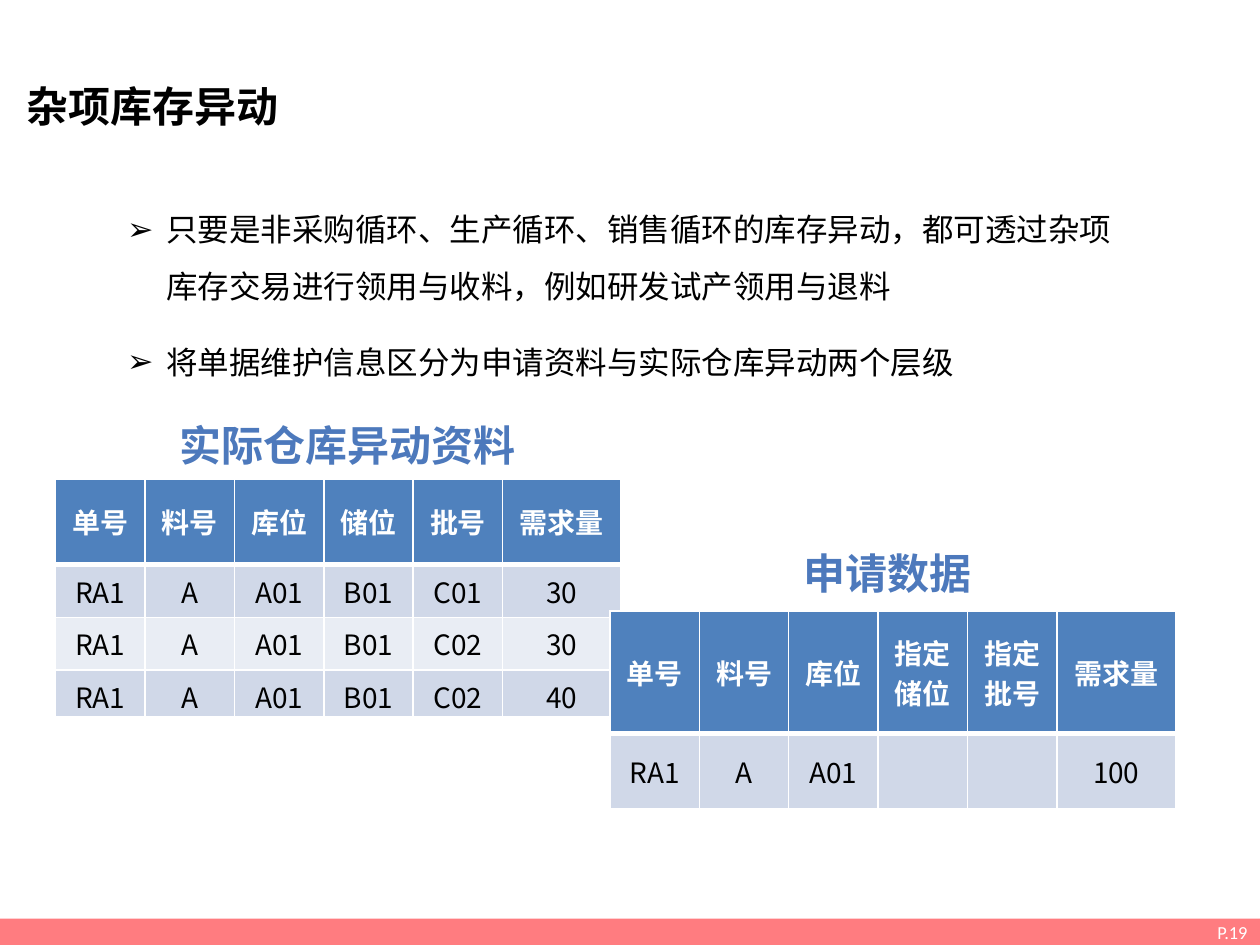
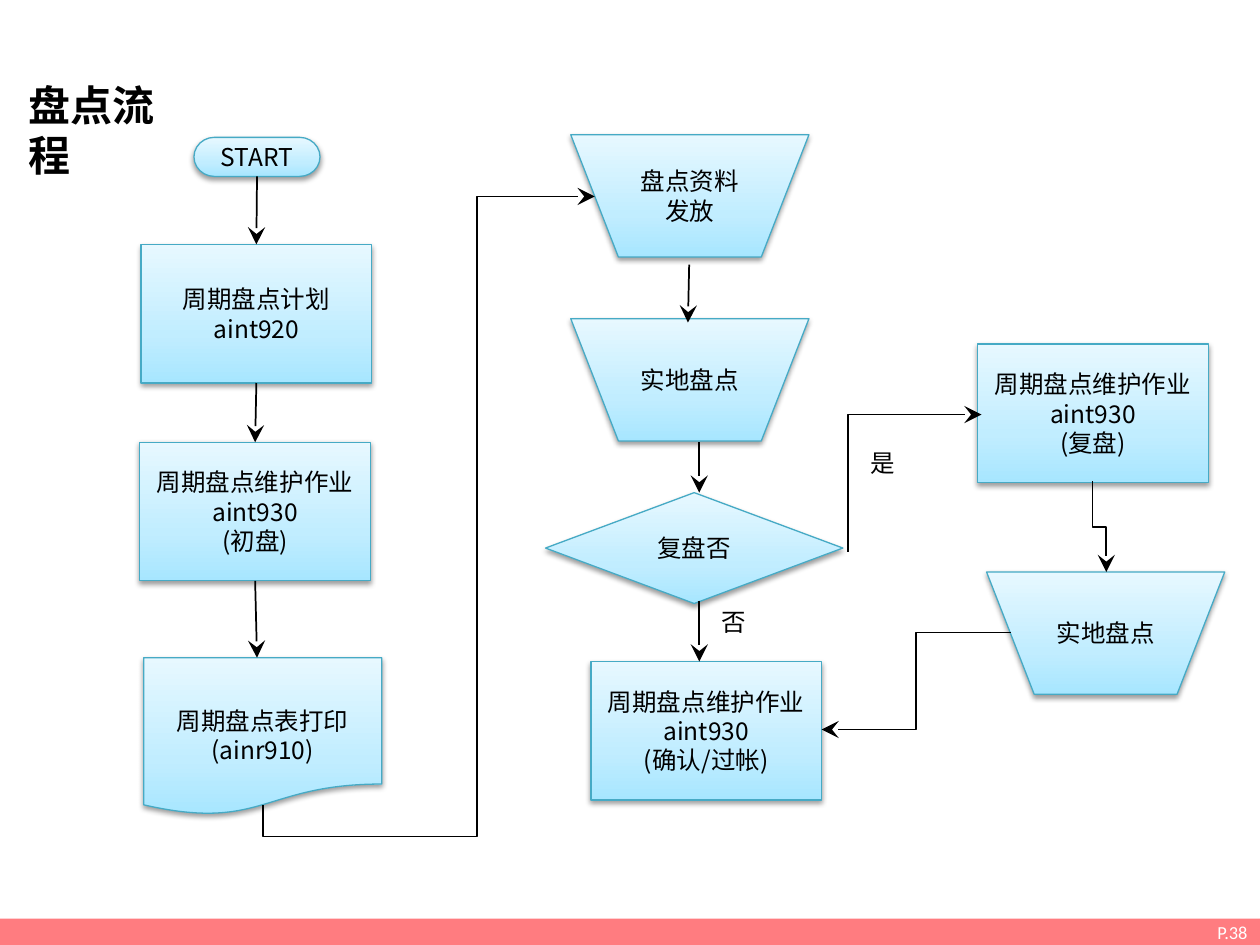
from dataclasses import dataclass
from typing import NamedTuple, Optional

from lxml.etree import SubElement
from pptx import Presentation
from pptx.dml.color import RGBColor
from pptx.enum.shapes import MSO_CONNECTOR, MSO_SHAPE
from pptx.enum.text import MSO_ANCHOR, MSO_AUTO_SIZE, PP_ALIGN
from pptx.oxml.ns import qn
from pptx.util import Inches, Pt


@dataclass(frozen=True)
class Theme:
    font: str = "Noto Sans CJK SC"
    footer_font: str = "Calibri"
    ink: str = "000000"
    paper: str = "FFFFFF"
    band: str = "FF7C80"
    header: str = "4F81BD"
    stripes: tuple = ("D0D8E8", "E9EDF4")
    step_line: str = "46AAC5"
    step_fill: tuple = ((0, "A7E6FF"), (35, "C1EDFF"), (100, "E7F8FF"))
    caption_fill: tuple = ((0, "000000"), (49, "4D79BC"), (50, "346AAA"),
                           (92, "325F94"), (100, "315D91"))
    title_size: float = 24
    body_size: float = 18
    table_size: float = 16
    step_size: float = 14
    footer_size: float = 10.5


THEME = Theme()
WIDTH, HEIGHT = Inches(10), Inches(7.5)
COLUMN, ROW = WIDTH / 100, HEIGHT / 75


class Box(NamedTuple):
    left: float
    top: float
    width: float
    height: float

    def emu(self) -> tuple:
        return (round(self.left * COLUMN), round(self.top * ROW),
                round(self.width * COLUMN), round(self.height * ROW))


class Step(NamedTuple):
    label: str
    kind: MSO_SHAPE
    box: Box
    top_inset: float = 0.05


class Arrow(NamedTuple):
    start: tuple
    end: tuple
    source: Optional[str] = None
    target: Optional[str] = None


class Elbow(NamedTuple):
    start: tuple
    end: tuple
    turn: int
    flips: str
    geometry: str
    bends: tuple = ()


class Ledger(NamedTuple):
    caption: str
    caption_box: Box
    left: float
    top: float
    rows: tuple
    heights: tuple


LEDGER_COLUMNS = (7.1,) * 5 + (9.4,)
LEDGERS = (
    Ledger("申请数据", Box(62.8, 43, 15.3, 5.3), 48.4, 48.5,
           (("单号", "料号", "库位", "指定储位", "指定批号", "需求量"),
            ("RA1", "A", "A01", "", "", "100")), (9.7, 6)),
    Ledger("实际仓库异动资料", Box(13.2, 32.8, 28.7, 5.3), 4.4, 38,
           (("单号", "料号", "库位", "储位", "批号", "需求量"),
            ("RA1", "A", "A01", "B01", "C01", "30"),
            ("RA1", "A", "A01", "B01", "C02", "30"),
            ("RA1", "A", "A01", "B01", "C02", "40")), (6.8, 4.2, 4.2, 3.7)),
)
POINTS = (
    ("只要是非采购循环、生产循环、销售循环的库存异动，都可透过杂项库存交易进行领用与收料，例如研发试产领用与退料", 1.5),
    ("将单据维护信息区分为申请资料与实际仓库异动两个层级", 2.0),
)

TASK, MANUAL = (18.3, 11), (18.9, 9.7)
STEPS = {
    "start": Step("START", MSO_SHAPE.FLOWCHART_TERMINATOR, Box(15.4, 10.9, 10, 3.1)),
    "plan": Step("周期盘点计划\naint920", MSO_SHAPE.RECTANGLE, Box(11.2, 19.4, *TASK)),
    "first count": Step("周期盘点维护作业\naint930\n(初盘)", MSO_SHAPE.RECTANGLE,
                        Box(11.1, 35.1, *TASK)),
    "print": Step("周期盘点表打印\n(ainr910)", MSO_SHAPE.FLOWCHART_DOCUMENT,
                  Box(11.4, 52.2, 18.9, 12.5), 0.28),
    "issue": Step("盘点资料发放", MSO_SHAPE.FLOWCHART_MANUAL_OPERATION,
                  Box(45.3, 10.7, *MANUAL)),
    "site count": Step("实地盘点", MSO_SHAPE.FLOWCHART_MANUAL_OPERATION,
                       Box(45.3, 25.3, *MANUAL)),
    "recount": Step("周期盘点维护作业\naint930\n(复盘)", MSO_SHAPE.RECTANGLE,
                    Box(77.6, 27.3, *TASK)),
    "decision": Step("复盘否", MSO_SHAPE.FLOWCHART_DECISION, Box(43.3, 39.1, 23.6, 8.8)),
    "confirm": Step("周期盘点维护作业\naint930\n(确认/过帐)", MSO_SHAPE.RECTANGLE,
                    Box(46.9, 52.5, *TASK)),
    "site recount": Step("实地盘点", MSO_SHAPE.FLOWCHART_MANUAL_OPERATION,
                         Box(78.3, 45.4, *MANUAL)),
}
ARROWS = (
    Arrow((20.2, 14), (20.2, 19.4), "start", "plan"),
    Arrow((20.2, 30.3), (20.4, 35.1), "plan", "first count"),
    Arrow((20.2, 46.1), (20.4, 52.2), "first count"),
    Arrow((54.7, 21), (54.6, 25.6)),
    Arrow((55.5, 35.1), (55.5, 39.1)),
    Arrow((55.5, 47.7), (55.5, 52.5)),
)
ELBOWS = (
    Elbow((20.9, 63.9), (47.2, 15.6), 90, "HV", "bentConnector4", (-0.052, 0.644)),
    Elbow((80.2, 50.2), (65.2, 57.9), 180, "V", "bentConnector3", (0.5,)),
    Elbow((86.7, 38.2), (87.8, 45.4), 270, "H", "bentConnector3", (0.5,)),
    Elbow((67.3, 43.8), (77.9, 32.9), 90, "HV", "bentConnector2"),
)
BRANCHES = (("否", Box(56.3, 47.7, 3.9, 3.5)), ("是", Box(68.1, 35.1, 3.9, 3.5)))


def gradient(parent, index: int, stops: tuple, angle: int) -> None:
    fill = SubElement(parent, qn("a:gradFill"), rotWithShape="1")
    parent.insert(index, fill)
    stop_list = SubElement(fill, qn("a:gsLst"))
    for share, color in stops:
        stop = SubElement(stop_list, qn("a:gs"), pos=str(share * 1000))
        SubElement(stop, qn("a:srgbClr"), val=color)
    SubElement(fill, qn("a:lin"), ang=str(angle * 60000), scaled="0")


def write(frame, text: str, *, size: float, color: str = THEME.ink, bold: bool = False,
          font: str = THEME.font, align=PP_ALIGN.LEFT, anchor=MSO_ANCHOR.TOP,
          wrap: bool = True, fit=MSO_AUTO_SIZE.NONE, stops: tuple = ()) -> None:
    frame.word_wrap = wrap
    frame.auto_size = fit
    frame.vertical_anchor = anchor
    frame.text = text
    for paragraph in frame.paragraphs:
        paragraph.alignment = align
        for run in paragraph.runs:
            run.font.size, run.font.bold, run.font.name = Pt(size), bold, font
            properties = run.font._element
            SubElement(properties, qn("a:ea"), typeface=font)
            if stops:
                gradient(properties, 0, stops, 90)
            else:
                run.font.color.rgb = RGBColor.from_string(color)


def add_label(slide, text: str, box: Box, **style) -> None:
    label = slide.shapes.add_textbox(*box.emu())
    write(label.text_frame, text, wrap=False, fit=MSO_AUTO_SIZE.SHAPE_TO_FIT_TEXT, **style)


def place(placeholder, box: Box) -> None:
    placeholder.left, placeholder.top, placeholder.width, placeholder.height = box.emu()


def add_page(deck, layout: int, title: str, title_box: Box, number: int):
    slide = deck.slides.add_slide(deck.slide_layouts[layout])
    band = slide.shapes.add_shape(MSO_SHAPE.RECTANGLE, *Box(0, 72.9, 100, 2.1).emu())
    band.shadow.inherit = False
    band.fill.solid()
    band.fill.fore_color.rgb = RGBColor.from_string(THEME.band)
    band.line.fill.background()
    write(band.text_frame, f"P.{number}", size=THEME.footer_size, color=THEME.paper,
          font=THEME.footer_font, align=PP_ALIGN.RIGHT, anchor=MSO_ANCHOR.MIDDLE)
    place(slide.shapes.title, title_box)
    write(slide.shapes.title.text_frame, title, size=THEME.title_size, bold=True)
    return slide


def add_points(slide) -> None:
    body = slide.placeholders[1]
    place(body, Box(9.1, 14.7, 81.2, 16))
    write(body.text_frame, "\n".join(text for text, _ in POINTS), size=THEME.body_size)
    for paragraph, (_, spacing) in zip(body.text_frame.paragraphs, POINTS):
        paragraph.line_spacing = spacing
        paragraph.space_before = Pt(0)
        properties = paragraph._p.get_or_add_pPr()
        properties.set("marL", str(Inches(0.31)))
        properties.set("indent", str(-Inches(0.31)))
        SubElement(properties, qn("a:buChar"), char="➢")


def set_borders(cell, bottom: float) -> None:
    properties = cell._tc.get_or_add_tcPr()
    for index, (side, weight) in enumerate(zip("LRTB", (1, 1, 1, bottom))):
        border = SubElement(properties, qn(f"a:ln{side}"), w=str(Pt(weight)))
        properties.insert(index, border)
        fill = SubElement(border, qn("a:solidFill"))
        SubElement(fill, qn("a:srgbClr"), val=THEME.paper)


def add_ledger(slide, ledger: Ledger) -> None:
    add_label(slide, ledger.caption, ledger.caption_box, size=THEME.title_size, bold=True,
              align=PP_ALIGN.CENTER, stops=THEME.caption_fill)
    box = Box(ledger.left, ledger.top, sum(LEDGER_COLUMNS), sum(ledger.heights))
    table = slide.shapes.add_table(len(ledger.rows), len(LEDGER_COLUMNS), *box.emu()).table
    for column, width in zip(table.columns, LEDGER_COLUMNS):
        column.width = round(width * COLUMN)
    for r, (values, height) in enumerate(zip(ledger.rows, ledger.heights)):
        table.rows[r].height = round(height * ROW)
        heading = r == 0
        for c, value in enumerate(values):
            cell = table.cell(r, c)
            cell.fill.solid()
            cell.fill.fore_color.rgb = RGBColor.from_string(
                THEME.header if heading else THEME.stripes[(r - 1) % 2])
            set_borders(cell, 3 if heading else 1)
            write(cell.text_frame, value, size=THEME.table_size, bold=heading,
                  color=THEME.paper if heading else THEME.ink, align=PP_ALIGN.CENTER)
            cell.vertical_anchor = MSO_ANCHOR.MIDDLE


def add_step(slide, step: Step):
    shape = slide.shapes.add_shape(step.kind, *step.box.emu())
    gradient(shape._element.spPr, 2, THEME.step_fill, 270)
    shape.line.color.rgb = RGBColor.from_string(THEME.step_line)
    shape.line.width = Pt(0.75)
    shape.shadow.inherit = False
    effects = shape._element.spPr.find(qn("a:effectLst"))
    shadow = SubElement(effects, qn("a:outerShdw"), blurRad=str(Pt(3.1)), dist=str(Pt(1.6)),
                        dir="5400000", rotWithShape="0")
    shade = SubElement(shadow, qn("a:srgbClr"), val=THEME.ink)
    SubElement(shade, qn("a:alpha"), val="38000")
    write(shape.text_frame, step.label, size=THEME.step_size, align=PP_ALIGN.CENTER,
          anchor=MSO_ANCHOR.MIDDLE)
    shape.text_frame.margin_top = Inches(step.top_inset)
    return shape


def add_line(slide, kind, box: Box):
    left, top, width, height = box.emu()
    line = slide.shapes.add_connector(kind, left, top, left + width, top + height)
    line.line.color.rgb = RGBColor.from_string(THEME.ink)
    line.line.width = Pt(1)
    SubElement(line.line._get_or_add_ln(), qn("a:tailEnd"), type="stealth", w="lg", len="lg")
    SubElement(line._element.spPr, qn("a:effectLst"))
    return line


def add_arrow(slide, arrow: Arrow, shapes: dict) -> None:
    (x1, y1), (x2, y2) = arrow.start, arrow.end
    line = add_line(slide, MSO_CONNECTOR.STRAIGHT, Box(x1, y1, x2 - x1, y2 - y1))
    if arrow.source:
        line.begin_connect(shapes[arrow.source], 2)
    if arrow.target:
        line.end_connect(shapes[arrow.target], 0)


def add_elbow(slide, elbow: Elbow) -> None:
    (x1, y1), (x2, y2) = elbow.start, elbow.end
    width, height = abs(x2 - x1), abs(y2 - y1)
    if elbow.turn % 180:
        width, height = height, width
    box = Box((x1 + x2 - width) / 2, (y1 + y2 - height) / 2, width, height)
    properties = add_line(slide, MSO_CONNECTOR.ELBOW, box)._element.spPr
    frame = properties.find(qn("a:xfrm"))
    frame.set("rot", str(elbow.turn * 60000))
    for axis in elbow.flips:
        frame.set(f"flip{axis}", "1")
    outline = properties.find(qn("a:prstGeom"))
    outline.set("prst", elbow.geometry)
    for index, bend in enumerate(elbow.bends, 1):
        SubElement(outline.find(qn("a:avLst")), qn("a:gd"), name=f"adj{index}",
                   fmla=f"val {round(bend * 100000)}")


def main() -> None:
    deck = Presentation()
    deck.slide_width, deck.slide_height = WIDTH, HEIGHT

    movements = add_page(deck, 1, "杂项库存异动", Box(1.1, 5.9, 41.7, 5.3), 19)
    add_points(movements)
    for ledger in reversed(LEDGERS):
        add_ledger(movements, ledger)

    counting = add_page(deck, 5, "盘点流程", Box(1.3, 5.8, 15.3, 5.3), 38)
    shapes = {name: add_step(counting, step) for name, step in STEPS.items()}
    for arrow in ARROWS:
        add_arrow(counting, arrow, shapes)
    for elbow in ELBOWS:
        add_elbow(counting, elbow)
    for answer, box in BRANCHES:
        add_label(counting, answer, box, size=THEME.step_size)

    deck.save("out.pptx")


if __name__ == "__main__":
    main()
